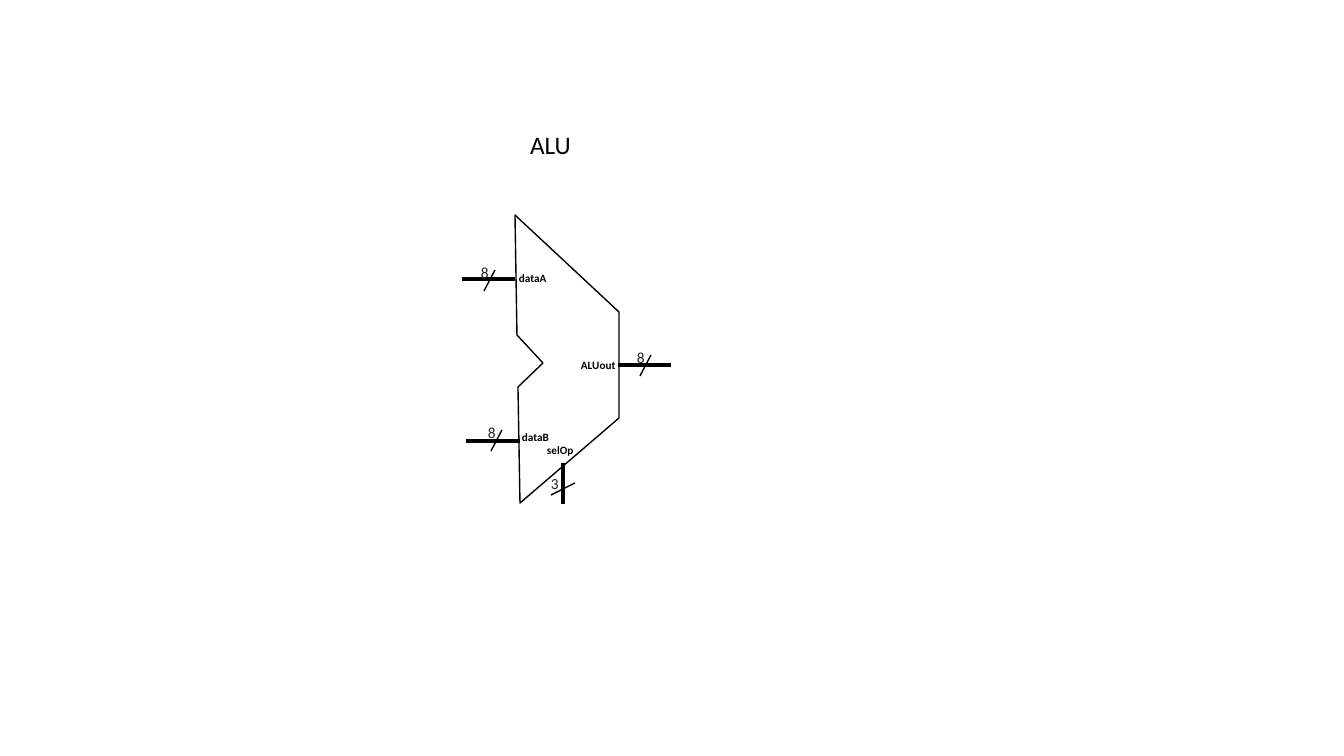
from lxml.etree import SubElement
from pptx import Presentation
from pptx.dml.color import RGBColor
from pptx.enum.text import MSO_ANCHOR, PP_ALIGN
from pptx.oxml.ns import qn
from pptx.util import Pt

PX = 914400 / 100.8
BLACK = RGBColor(0, 0, 0)
GRAY = RGBColor(0x26, 0x26, 0x26)
OUTLINE = [(104, 203), (5, 288), (3, 172), (28, 148), (2, 120), (0, 0), (104, 97)]
SIDE_SLASH = (-11, 21)
SIDE_WIDTH = (-24, -12)
PORTS = [
    ("dataA", (-6, 51), "8", (0, 64), (-53, 64), (-20, 55), SIDE_SLASH, SIDE_WIDTH),
    ("dataB", (-3, 210), "8", (5, 226), (-49, 226), (-13, 215), SIDE_SLASH, SIDE_WIDTH),
    ("selOp", (22, 223), "3", (48, 289), (48, 248), (60, 268), (-24, 12), (-34, -14)),
    ("ALUout", (56, 138), "8", (156, 150), (103, 150), (136, 140), SIDE_SLASH, SIDE_WIDTH),
]


def emu(*lengths):
    return [round(v * PX) for v in lengths]


def write(shape, text, size, color, bold=False):
    tf = shape.text_frame
    tf.word_wrap = True
    tf.vertical_anchor = MSO_ANCHOR.TOP
    p = tf.paragraphs[0]
    p.text = text
    p.alignment = PP_ALIGN.LEFT
    p.font.name = "Calibri"
    p.font.size = Pt(size)
    p.font.bold = bold
    p.font.color.rgb = color


def add_line(s, start, end, weight):
    line = s.shapes.add_connector(1, *emu(*start, *end))
    line.line.color.rgb = BLACK
    line.line.width = Pt(weight)
    SubElement(line._element.spPr, qn("a:effectLst"))


def add_title(s, x, y, w, h):
    title = s.shapes.title
    title.left, title.top, title.width, title.height = emu(x, y, w, h)
    write(title, "ALU", 18, BLACK)


def add_alu(s, x, y):
    def at(point, origin=(x, y)):
        return origin[0] + point[0], origin[1] + point[1]

    points = [emu(*at(point)) for point in OUTLINE]
    builder = s.shapes.build_freeform(*points[0])
    builder.add_line_segments(points[1:], close=True)
    body = builder.convert_to_shape()
    body.shadow.inherit = False
    body.fill.background()
    body.line.color.rgb = BLACK
    body.line.width = Pt(1)

    for name, name_at, bits, start, end, slash_at, slash, bits_at in PORTS:
        add_line(s, at(start), at(end), 2.25)
        tick = at(slash_at)
        add_line(s, tick, at(slash, tick), 1)
        write(s.shapes.add_textbox(*emu(*at(bits_at, tick), 23, 29)), bits, 11, GRAY)
        write(s.shapes.add_textbox(*emu(*at(name_at), 66, 24)), name, 8, BLACK, True)


prs = Presentation()
prs.slide_width, prs.slide_height = emu(1344, 756)
s = prs.slides.add_slide(prs.slide_layouts[5])
add_title(s, 520, 124, 213, 40)
add_alu(s, 515, 215)
prs.save("out.pptx")
